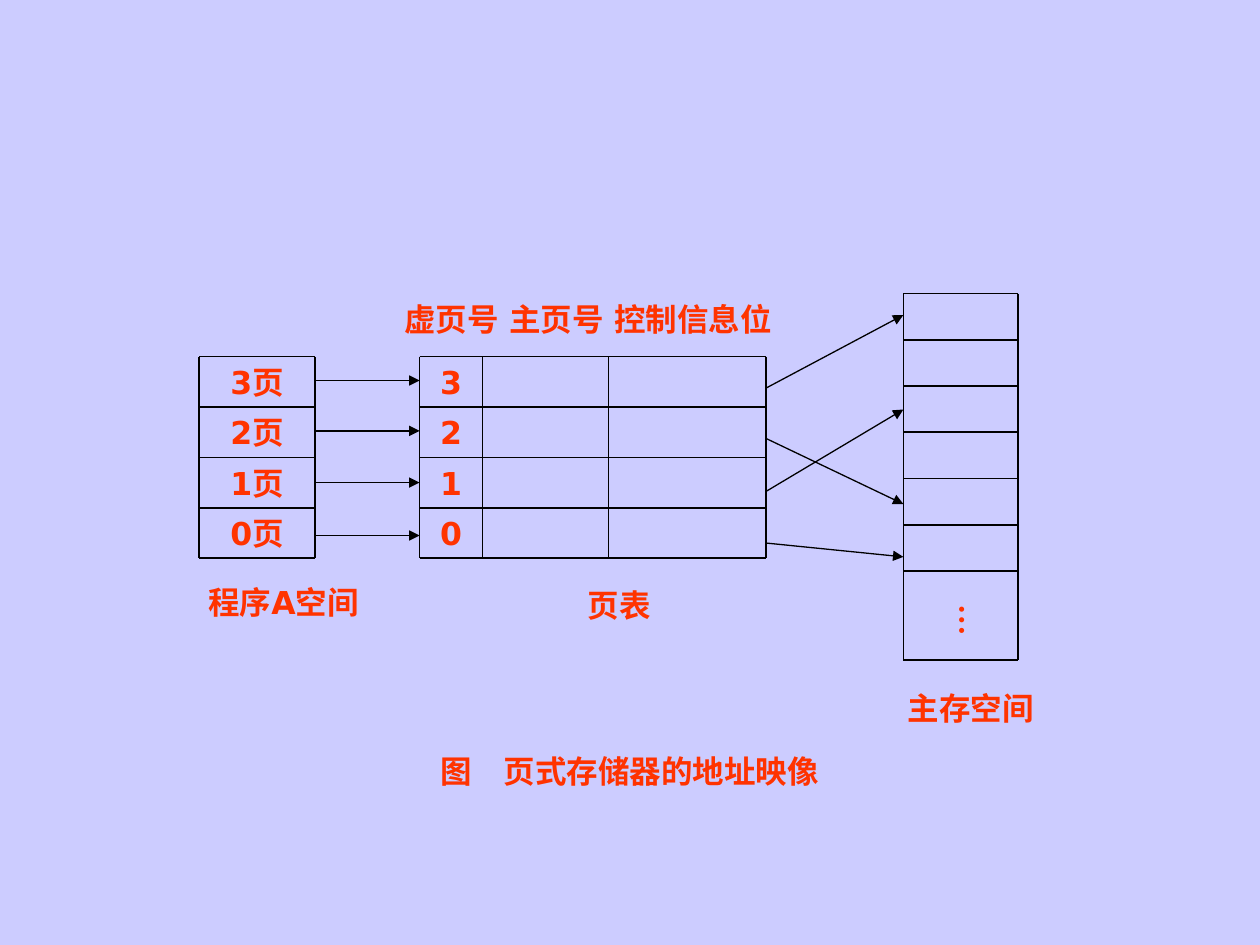
import pptx
import pptx.util
import pptx.dml.color
import pptx.enum.shapes
import pptx.enum.text
import pptx.oxml
import pptx.oxml.ns

Inches, Pt = pptx.util.Inches, pptx.util.Pt
RGBColor = pptx.dml.color.RGBColor

BACKGROUND = RGBColor(0xCC, 0xCC, 0xFF)
TEXT = RGBColor(0xFF, 0x33, 0x00)
BLACK = RGBColor(0, 0, 0)

PAGES = ["3", "2", "1", "0"]
ROW_TOP, ROW_H = 2.83, 0.4
ROWS = [ROW_TOP + i * ROW_H for i in range(len(PAGES) + 1)]
PROGRAM_COLS = [1.58, 2.5]
TABLE_COLS = [3.33, 3.83, 4.83, 6.08]
MEMORY_COLS = [7.17, 8.08]
MEMORY_TOP, FRAME_H, FRAMES = 2.33, 0.367, 6
MEMORY_ROWS = [MEMORY_TOP + i * FRAME_H for i in range(FRAMES + 1)] + [5.24]

# text, left, top, width, height
LABELS = [
    ("虚页号", 3, 2.33, 1.17, 0.42),
    ("主页号", 3.83, 2.33, 1.17, 0.42),
    ("控制信息位", 4.75, 2.33, 1.5, 0.42),
    ("程序A空间", 1.5, 4.58, 1.5, 0.5),
    ("页表", 4.33, 4.6, 1.17, 0.42),
    ("主存空间", 7.08, 5.42, 1.25, 0.42),
]
LOOKUP_YS = [3.02, 3.42, 3.83, 4.25]
# y at the page table, y at main memory
MAPPINGS = [(3.08, 2.5), (3.48, 4), (3.9, 3.25), (4.31, 4.42)]


def add_text(slide, text, left, top, width, height, font="DejaVu Sans", before=4.5):
    box = slide.shapes.add_textbox(*map(Inches, (left, top, width, height)))
    tf = box.text_frame
    tf.word_wrap = True
    p = tf.paragraphs[0]
    p.text = text
    p.alignment = pptx.enum.text.PP_ALIGN.CENTER
    p.space_before = Pt(before)
    p.font.name = font
    p.font.size = Pt(18)
    p.font.bold = True
    p.font.color.rgb = TEXT
    return box


def add_line(slide, x1, y1, x2, y2, width=1, arrow=False):
    line = slide.shapes.add_connector(
        pptx.enum.shapes.MSO_CONNECTOR.STRAIGHT, *map(Inches, (x1, y1, x2, y2)))
    line.line.color.rgb = BLACK
    line.line.width = Pt(width)
    props = line._element.spPr
    if arrow:
        tail = pptx.oxml.parse_xml(
            f'<a:tailEnd {pptx.oxml.ns.nsdecls("a")} type="triangle"/>')
        line.line._get_or_add_ln().append(tail)
    props.append(pptx.oxml.parse_xml(f'<a:effectLst {pptx.oxml.ns.nsdecls("a")}/>'))


def add_grid(slide, xs, ys):
    for y in ys:
        add_line(slide, xs[0], y, xs[-1], y)
    for x in xs:
        add_line(slide, x, ys[0], x, ys[-1])


def main():
    prs = pptx.Presentation()
    prs.slide_width, prs.slide_height = Inches(10), Inches(7.5)
    slide = prs.slides.add_slide(prs.slide_layouts[6])
    slide.background.fill.solid()
    slide.background.fill.fore_color.rgb = BACKGROUND

    for label in LABELS:
        add_text(slide, *label)
    for page, y in zip(PAGES, ROWS):
        add_text(slide, page + "页", PROGRAM_COLS[0], y, 0.92, ROW_H)
        add_text(slide, page, TABLE_COLS[0], y, 0.5, ROW_H)
    dots = add_text(slide, "…", 7.37, 4.71, 0.67, 0.42, "Times New Roman")
    dots.rotation = 90

    add_grid(slide, PROGRAM_COLS, ROWS)
    add_grid(slide, TABLE_COLS, ROWS)
    add_grid(slide, MEMORY_COLS, MEMORY_ROWS)

    for y in LOOKUP_YS:
        add_line(slide, PROGRAM_COLS[-1], y, TABLE_COLS[0], y, 0.75, arrow=True)
    for y1, y2 in MAPPINGS:
        add_line(slide, TABLE_COLS[-1], y1, MEMORY_COLS[0], y2, 0.75, arrow=True)

    add_text(slide, "图　页式存储器的地址映像", 3, 5.92, 4, 0.4, "Arial", before=0)
    prs.save("out.pptx")


if __name__ == "__main__":
    main()
